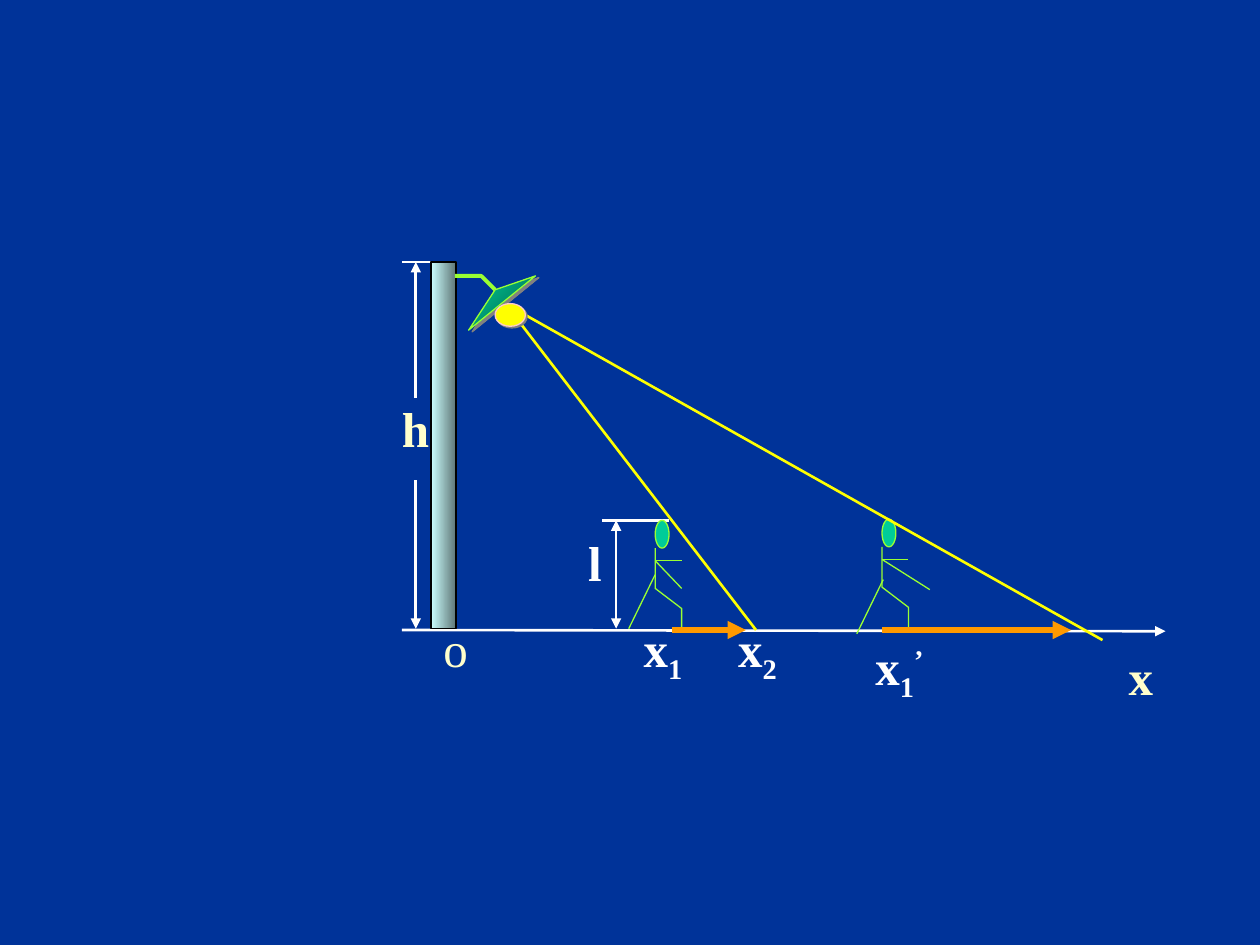
"""Build the slide of a street lamp casting the shadow of a walker."""
from lxml.etree import SubElement
from pptx import Presentation
from pptx.dml.color import RGBColor
from pptx.enum.shapes import MSO_CONNECTOR, MSO_SHAPE
from pptx.oxml.ns import qn
from pptx.util import Inches, Pt

COLORS = {
    "back": "003399", "white": "FFFFFF", "cream": "FFFFCC", "ray": "FFFF00",
    "teal": "00CC99", "dark": "005E47", "lime": "99FF33", "pink": "FFCCCC",
    "ice": "CCFFFF", "steel": "5E7676", "black": "000000", "gray": "808080",
    "orange": "FF9900",
}
GROUND = 5
LABELS = [
    ([("o", 0)], (3.42, 4.86, 0.39, 0.57), "cream", False),
    ([("x", 0), ("2", -25)], (5.76, 4.86, 0.58, 0.63), "white", True),
    ([("x", 0)], (8.86, 5.08, 0.39, 0.57), "cream", True),
    ([("x", 0), ("1", -25)], (5.01, 4.86, 0.58, 0.63), "white", True),
    ([("h", 0)], (3.09, 3.11, 0.41, 0.57), "cream", True),
    ([("l", 0)], (4.57, 4.18, 0.31, 0.57), "white", True),
    ([("x", 0), ("1", -25), ("’", 30)], (6.85, 5, 0.64, 0.63), "white", True),
]
AXES = [
    ((3.19, 2.08), (3.61, 2.08), ""),
    ((3.19, GROUND), (9.25, 5.01), "tail"),
    ((3.3, 3.16), (3.3, 2.08), "tail"),
    ((3.3, 3.81), (3.3, 4.99), "tail"),
    ((4.78, 4.13), (5.31, 4.13), ""),
    ((4.89, 4.13), (4.89, 4.99), "head tail"),
]
WALKERS = [
    {"x": 5.2, "top": 4.13, "hip": (5.2, 4.56), "hand": (5.41, 4.67)},
    {"x": 7, "top": 4.12, "hip": (7.01, 4.6), "hand": (7.38, 4.68)},
]
RAYS = [((4.08, 2.5), (6, GROUND)), ((4.17, 2.5), (8.75, 5.08))]
SHADOWS = [(5.33, 5.92), (7, 8.5)]


def rgb(name):
    return RGBColor.from_string(COLORS[name])


def draw(start, end, color, width=1.5, ends=""):
    line = shapes.add_connector(MSO_CONNECTOR.STRAIGHT, *map(Inches, start + end))
    line.line.color.rgb = rgb(color)
    line.line.width = Pt(width)
    for side in ends.split():
        SubElement(line.line._get_or_add_ln(), qn(f"a:{side}End"), type="triangle")
    SubElement(line._element.spPr, qn("a:effectLst"))


def paint(shape, fills, color, width=0.75, angle=0, shade=None):
    shape.shadow.inherit = False
    shape.line.color.rgb = rgb(color)
    shape.line.width = Pt(width)
    if not fills:
        shape.fill.background()
    elif len(fills) == 1:
        shape.fill.solid()
        shape.fill.fore_color.rgb = rgb(fills[0])
    else:
        shape.fill.gradient()
        shape.fill.gradient_angle = angle
        for stop, name in zip(shape.fill.gradient_stops, fills):
            stop.color.rgb = rgb(name)
    if shade:
        dist, turn = shade
        effect = shape._element.spPr.find(qn("a:effectLst"))
        drop = SubElement(effect, qn("a:outerShdw"), blurRad="0", dist=str(Pt(dist)),
                          dir=str(turn * 60000), algn="ctr", rotWithShape="0")
        SubElement(drop, qn("a:srgbClr"), val=COLORS["gray"])


def form(kind, box, fills, color, **look):
    paint(shapes.add_shape(kind, *map(Inches, box)), fills, color, **look)


def path(points, fills, color, close=False, **look):
    spots = [(Inches(x), Inches(y)) for x, y in points]
    maker = shapes.build_freeform(*spots[0])
    maker.add_line_segments(spots[1:], close=close)
    paint(maker.convert_to_shape(), fills, color, **look)


def write(parts, box, color="white", bold=True, size=28):
    frame = shapes.add_textbox(*map(Inches, box)).text_frame
    frame.word_wrap = True
    for text, shift in parts:
        run = frame.paragraphs[0].add_run()
        run.text = text
        run.font.name = "Times New Roman"
        run.font.size = Pt(size)
        run.font.bold = bold
        run.font.color.rgb = rgb(color)
        if shift:
            run._r.get_or_add_rPr().set("baseline", str(shift * 1000))


def walk(x, top, hip, hand):
    neck, arm = top + 0.22, top + 0.32
    form(MSO_SHAPE.OVAL, (x, top, 0.11, 0.22), ["teal"], "lime")
    path([(x, neck), (x, neck + 0.32), (x + 0.21, neck + 0.48),
          (x + 0.21, neck + 0.64)], [], "lime")
    draw(hip, (hip[0] - 0.21, hip[1] + 0.43), "lime", 0.75)
    for end in (hand, (x + 0.21, arm)):
        draw((x, arm), end, "lime", 0.75)


deck = Presentation()
deck.slide_width, deck.slide_height = Inches(10), Inches(7.5)
slide = deck.slides.add_slide(deck.slide_layouts[6])
slide.background.fill.solid()
slide.background.fill.fore_color.rgb = rgb("back")
shapes = slide.shapes

for start, end, ends in AXES:
    draw(start, end, "white", ends=ends)
form(MSO_SHAPE.RECTANGLE, (3.42, 2.08, 0.2, 2.91), ["ice", "steel"], "black")
path([(3.61, 2.19), (3.82, 2.19), (3.93, 2.3)], [], "lime", width=2.25)
path([(3.93, 2.3), (3.72, 2.62), (4.25, 2.19)], ["teal", "dark"], "lime",
     close=True, angle=315, shade=(2.2, 26))
for man in WALKERS:
    walk(**man)
for start, end in RAYS:
    draw(start, end, "ray")
form(MSO_SHAPE.OVAL, (3.93, 2.41, 0.24, 0.18), ["ray"], "pink", shade=(1.4, 45))
for parts, box, color, bold in LABELS:
    write(parts, box, color=color, bold=bold)
for left, right in SHADOWS:
    draw((left, GROUND), (right, GROUND), "orange", 3.5, "tail")

deck.save("out.pptx")
